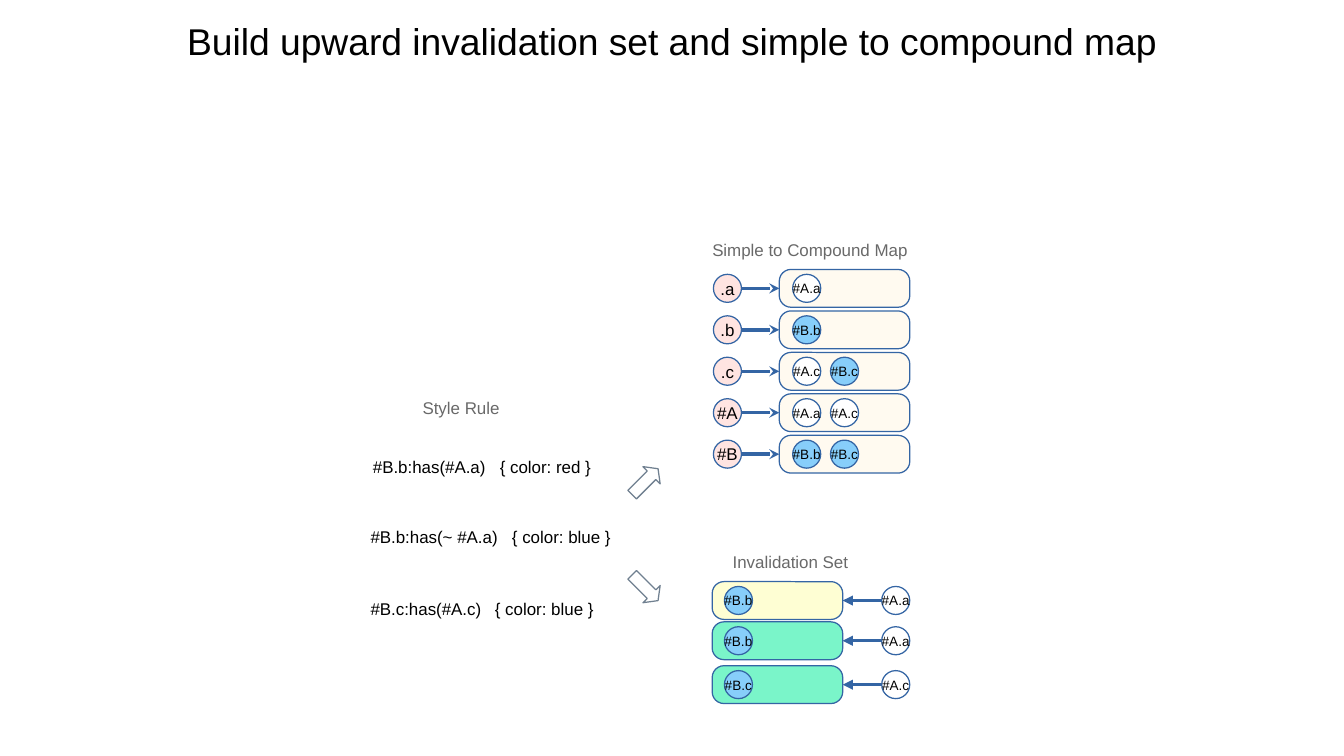
import pptx
import pptx.util
import pptx.dml.color
import pptx.enum.shapes
import pptx.enum.text
import pptx.oxml.ns
import lxml.etree

Inches, Pt = pptx.util.Inches, pptx.util.Pt
RGBColor = pptx.dml.color.RGBColor
SHAPE = pptx.enum.shapes.MSO_SHAPE
ANCHOR = pptx.enum.text.MSO_ANCHOR
ALIGN = pptx.enum.text.PP_ALIGN
qn = pptx.oxml.ns.qn

BLACK = RGBColor(0x00, 0x00, 0x00)
WHITE = RGBColor(0xFF, 0xFF, 0xFF)
GREY = RGBColor(0x69, 0x69, 0x69)
SLATE = RGBColor(0x70, 0x80, 0x90)
BLUE = RGBColor(0x34, 0x65, 0xA4)
SKY = RGBColor(0x87, 0xCE, 0xFA)
PINK = RGBColor(0xFF, 0xE4, 0xE1)
CREAM = RGBColor(0xFF, 0xFA, 0xF0)
YELLOW = RGBColor(0xFE, 0xFE, 0xD3)
MINT = RGBColor(0x7A, 0xF5, 0xC9)

TITLE = "Build upward invalidation set and simple to compound map"
HEADINGS = [
    ("Style Rule", 3.19, 3.19, 1.18),
    ("Simple to Compound Map", 5.83, 1.89, 1.62),
    ("Invalidation Set", 5.67, 4.45, 1.62),
]
RULES = [
    ("#B.b:has(#A.a)", "{ color: red }", 2.96, 3.67, 1.04),
    ("#B.b:has(~ #A.a)", "{ color: blue }", 2.94, 4.25, 1.16),
    ("#B.c:has(#A.c)", "{ color: blue }", 2.94, 4.84, 1.02),
]
COMPOUND_MAP = [
    (".a", ["#A.a"]),
    (".b", ["#B.b"]),
    (".c", ["#A.c", "#B.c"]),
    ("#A", ["#A.a", "#A.c"]),
    ("#B", ["#B.b", "#B.c"]),
]
INVALIDATION_SET = [
    ("#B.b", "#A.a", 4.77, YELLOW),
    ("#B.b", "#A.a", 5.1, MINT),
    ("#B.c", "#A.c", 5.46, MINT),
]
BLOCK_ARROWS = [(3.85, 315), (4.72, 45)]

MAP_TOP, MAP_PITCH = 2.21, 0.34
BOX_W, BOX_H, DOT = 1.07, 0.31, 0.23
KEY_X, MAP_X, MEMBER_X, MEMBER_PITCH = 5.85, 6.39, 6.5, 0.31
SET_X, SUBJECT_X, ARGUMENT_X = 5.84, 5.94, 7.23


def add_box(s, kind, x, y, w, h, fill, line=None):
    """Add a flat preset shape with an optional hairline."""
    sp = s.shapes.add_shape(kind, Inches(x), Inches(y), Inches(w), Inches(h))
    sp.shadow.inherit = False
    sp.fill.solid()
    sp.fill.fore_color.rgb = fill
    if line is None:
        sp.line.fill.background()
    else:
        sp.line.color.rgb = line
        sp.line.width = Pt(0)
    return sp


def write(sp, text, size, color=BLACK, align=ALIGN.CENTER):
    """Write one unwrapped line into a shape."""
    tf = sp.text_frame
    tf.word_wrap = False
    tf.vertical_anchor = ANCHOR.MIDDLE
    tf.text = text
    p = tf.paragraphs[0]
    p.alignment = align
    for r in p.runs:
        r.font.name = "Arial"
        r.font.size = Pt(size)
        r.font.color.rgb = color
    return p


def add_container(s, x, y, fill):
    """Add a rounded container."""
    sp = add_box(s, SHAPE.ROUNDED_RECTANGLE, x, y, BOX_W, BOX_H, fill, BLUE)
    sp.adjustments[0] = 0.31
    return sp


def add_dot(s, text, x, y, fill=None, size=8):
    """Add a selector circle, centred on the row that starts at y."""
    if fill is None:
        fill = SKY if text.startswith("#B") else WHITE
    sp = add_box(s, SHAPE.OVAL, x, y + (BOX_H - DOT) / 2, DOT, DOT, fill, BLUE)
    write(sp, text, size)


def add_arrow(s, x, y, box, side, head):
    """Draw an arrow from a selector circle to a side of a container."""
    start = Inches(x), Inches(y + BOX_H / 2)
    c = s.shapes.add_connector(pptx.enum.shapes.MSO_CONNECTOR.STRAIGHT, *start, *start)
    c.end_connect(box, side)
    c.line.color.rgb = BLUE
    c.line.width = Pt(0)
    lxml.etree.SubElement(c.line._get_or_add_ln(), qn("a:tailEnd"), type=head)
    lxml.etree.SubElement(c._element.spPr, qn("a:effectLst"))


def main():
    """Build the slide and save it."""
    prs = pptx.Presentation()
    prs.slide_width, prs.slide_height = Inches(11.02), Inches(6.2)
    s = prs.slides.add_slide(prs.slide_layouts[5])

    title = s.shapes.title
    title.left, title.top = Inches(0), Inches(0.1)
    title.width, title.height = Inches(11.02), Inches(0.5)
    write(title, TITLE, 22)
    title.text_frame.vertical_anchor = ANCHOR.TOP

    for text, x, y, w in HEADINGS:
        write(add_box(s, SHAPE.RECTANGLE, x, y, w, 0.31, WHITE), text, 10, GREY)

    for selector, style, x, y, tab in RULES:
        sp = add_box(s, SHAPE.RECTANGLE, x, y, 1.83, 0.31, WHITE)
        p = write(sp, f"{selector}\t{style}", 10, align=ALIGN.LEFT)
        tabs = lxml.etree.SubElement(p._p.get_or_add_pPr(), qn("a:tabLst"))
        lxml.etree.SubElement(tabs, qn("a:tab"), pos=str(Inches(tab)), algn="l")

    for y, angle in BLOCK_ARROWS:
        sp = add_box(s, SHAPE.RIGHT_ARROW, 5.14, y, 0.3, 0.2, WHITE, SLATE)
        sp.adjustments[1] = 0.376
        sp.rotation = angle

    for row, (key, members) in enumerate(COMPOUND_MAP):
        y = MAP_TOP + row * MAP_PITCH
        box = add_container(s, MAP_X, y, CREAM)
        add_dot(s, key, KEY_X, y, PINK, 10)
        for i, member in enumerate(members):
            add_dot(s, member, MEMBER_X + i * MEMBER_PITCH, y)
        add_arrow(s, KEY_X + DOT, y, box, 1, "stealth")

    for subject, argument, y, fill in INVALIDATION_SET:
        box = add_container(s, SET_X, y, fill)
        add_dot(s, subject, SUBJECT_X, y)
        add_dot(s, argument, ARGUMENT_X, y)
        add_arrow(s, ARGUMENT_X, y, box, 3, "triangle")

    prs.save("out.pptx")


if __name__ == "__main__":
    main()
